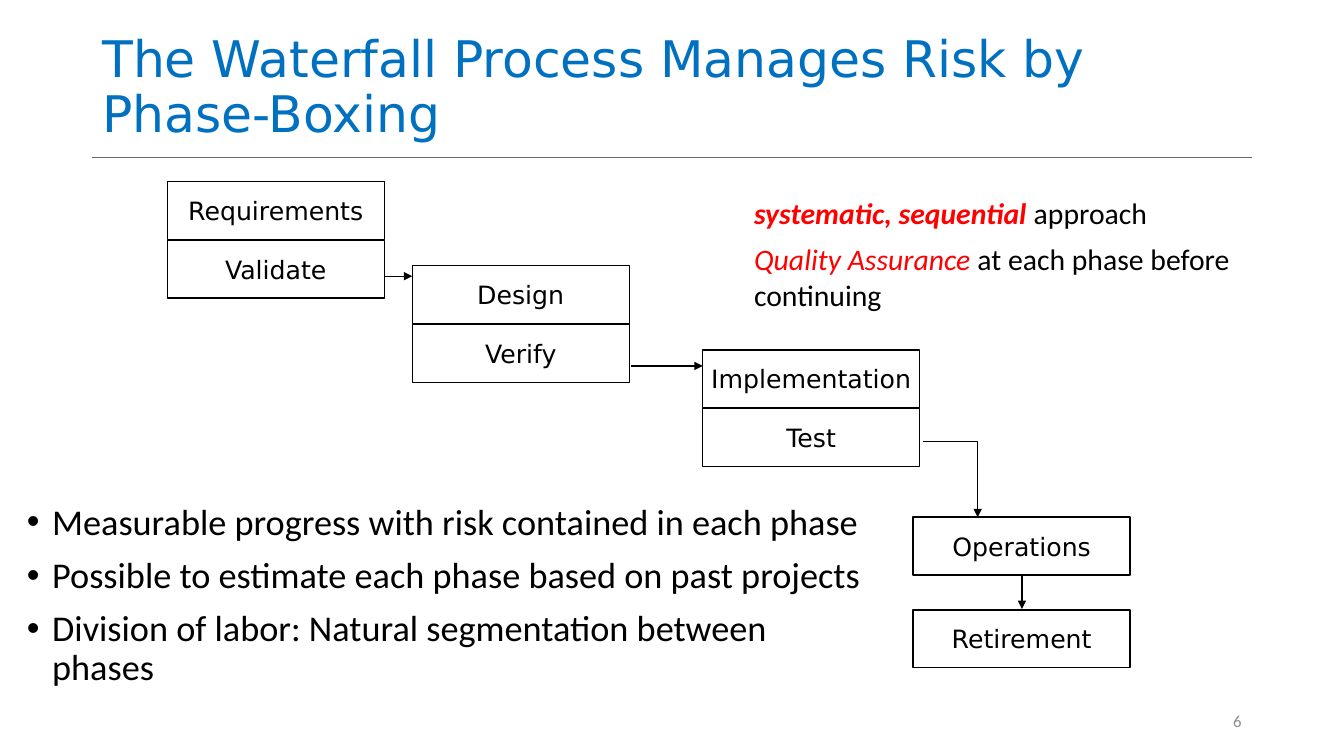
from lxml.etree import SubElement
from pptx import Presentation
from pptx.dml.color import RGBColor
from pptx.enum.shapes import MSO_CONNECTOR, MSO_SHAPE
from pptx.enum.text import MSO_ANCHOR, PP_ALIGN
from pptx.oxml.ns import qn
from pptx.util import Pt

COLOURS = {
    "title": "0070C0",
    "rule": "6B6B6B",
    "accent": "FF0000",
    "ink": "000000",
    "paper": "FFFFFF",
    "number": "8C8C8C",
}
HEADING_FONT, BODY_FONT = "DejaVu Sans", "Calibri"
BOX_WIDTH, BOX_HEIGHT = 155, 41.3
CHECK_OFFSET = 42  # from a phase down to its check
PHASE_TOP, PHASE_STEP = 129.6, 60.2
PHASES = [
    (119.5, "Requirements", "Validate"),
    (294.5, "Design", "Verify"),
    (502, "Implementation", "Test"),
]
FINAL_LEFT = 652.3
FINAL_STAGES = [(369.4, "Operations"), (435.6, "Retirement")]
ARROWS = [
    (274.5, 197.3, 294.5, 197.3),
    (450.7, 261.4, 502, 261.4),
    (730, 411.5, 730, 435),
]
BULLETS = [
    "Measurable progress with risk contained in each phase",
    "Possible to estimate each phase based on past projects",
    "Division of labor: Natural segmentation between phases",
]


def colour(name):
    return RGBColor.from_string(COLOURS[name])


def add_span(para, text, size, font, ink="ink", bold=False, italic=False):
    span = para.add_run()
    span.text = text
    span.font.size = Pt(size)
    span.font.name = font
    span.font.color.rgb = colour(ink)
    span.font.bold = bold
    span.font.italic = italic


def add_text_box(page, left, top, width, height, anchor, inset=None):
    box = page.shapes.add_textbox(Pt(left), Pt(top), Pt(width), Pt(height))
    frame = box.text_frame
    frame.word_wrap = True
    frame.vertical_anchor = anchor
    if inset is not None:
        frame.margin_left = frame.margin_right = Pt(inset)
        frame.margin_top = frame.margin_bottom = Pt(inset)
    return frame


def add_stage(page, left, top, label):
    stage = page.shapes.add_shape(
        MSO_SHAPE.RECTANGLE, Pt(left), Pt(top), Pt(BOX_WIDTH), Pt(BOX_HEIGHT))
    stage.shadow.inherit = False
    stage.fill.solid()
    stage.fill.fore_color.rgb = colour("paper")
    style_line(stage)
    frame = stage.text_frame
    frame.word_wrap = False
    frame.vertical_anchor = MSO_ANCHOR.MIDDLE
    para = frame.paragraphs[0]
    para.alignment = PP_ALIGN.CENTER
    add_span(para, label, 18, HEADING_FONT)


def style_line(shape, ink="ink", width=1, arrow=False):
    shape.line.color.rgb = colour(ink)
    shape.line.width = Pt(width)
    if arrow:
        SubElement(shape.line._get_or_add_ln(), qn("a:tailEnd"), type="triangle")


def add_line(page, x1, y1, x2, y2, **style):
    line = page.shapes.add_connector(
        MSO_CONNECTOR.STRAIGHT, Pt(x1), Pt(y1), Pt(x2), Pt(y2))
    style_line(line, **style)
    SubElement(line._element.spPr, qn("a:effectLst"))


def add_elbow_arrow(page, start, *corners):
    builder = page.shapes.build_freeform(Pt(start[0]), Pt(start[1]))
    builder.add_line_segments([(Pt(x), Pt(y)) for x, y in corners], close=False)
    elbow = builder.convert_to_shape()
    elbow.shadow.inherit = False
    elbow.fill.background()
    style_line(elbow, arrow=True)


def add_note(page, top, height, emphasis, rest, bold):
    frame = add_text_box(page, 535.7, top, 358.6, height, MSO_ANCHOR.MIDDLE, 2.9)
    para = frame.paragraphs[0]
    add_span(para, emphasis, 21.2, BODY_FONT, "accent", bold, True)
    add_span(para, rest, 21.2, BODY_FONT)


def add_bullets(page):
    frame = add_text_box(page, 12.2, 356.4, 612, 172, MSO_ANCHOR.TOP)
    for index, text in enumerate(BULLETS):
        para = frame.add_paragraph() if index else frame.paragraphs[0]
        properties = para._p.get_or_add_pPr()
        properties.set("marL", str(Pt(18)))
        properties.set("indent", str(-Pt(18)))
        SubElement(properties, qn("a:buFont"), typeface="Arial")
        SubElement(properties, qn("a:buChar"), char="•")
        para.line_spacing = 0.9
        if index:
            para.space_before = Pt(10)
        add_span(para, text, 25.9, BODY_FONT)


def main():
    deck = Presentation()
    deck.slide_width, deck.slide_height = Pt(960), Pt(540)
    page = deck.slides.add_slide(deck.slide_layouts[6])

    # Title, rule and slide number
    add_line(page, 66, 112.6, 894, 112.6, ink="rule", width=0.5)
    title = add_text_box(page, 66, 1.4, 828, 104.4, MSO_ANCHOR.BOTTOM).paragraphs[0]
    title.line_spacing = 0.9
    add_span(title, "The Waterfall Process Manages Risk by Phase-Boxing",
             36, HEADING_FONT, "title")
    number = add_text_box(page, 678, 500.5, 216, 28.8, MSO_ANCHOR.MIDDLE).paragraphs[0]
    number.alignment = PP_ALIGN.RIGHT
    add_span(number, "6", 12, BODY_FONT, "number")

    # Notes beside the waterfall
    add_note(page, 136.1, 31.7, "systematic, sequential ", "approach", True)
    add_note(page, 169.2, 56.9, "Quality Assurance ",
             "at each phase before continuing", False)

    # Waterfall stages
    for index, (left, phase, check) in enumerate(PHASES):
        top = PHASE_TOP + index * PHASE_STEP
        add_stage(page, left, top, phase)
        add_stage(page, left, top + CHECK_OFFSET, check)
    for top, label in FINAL_STAGES:
        add_stage(page, FINAL_LEFT, top, label)

    # Flow between stages
    for ends in ARROWS:
        add_line(page, *ends, arrow=True)
    add_elbow_arrow(page, (659.5, 315.4), (698.4, 315.4), (698.4, 369.4))

    # Benefits
    add_bullets(page)
    deck.save("out.pptx")


if __name__ == "__main__":
    main()
